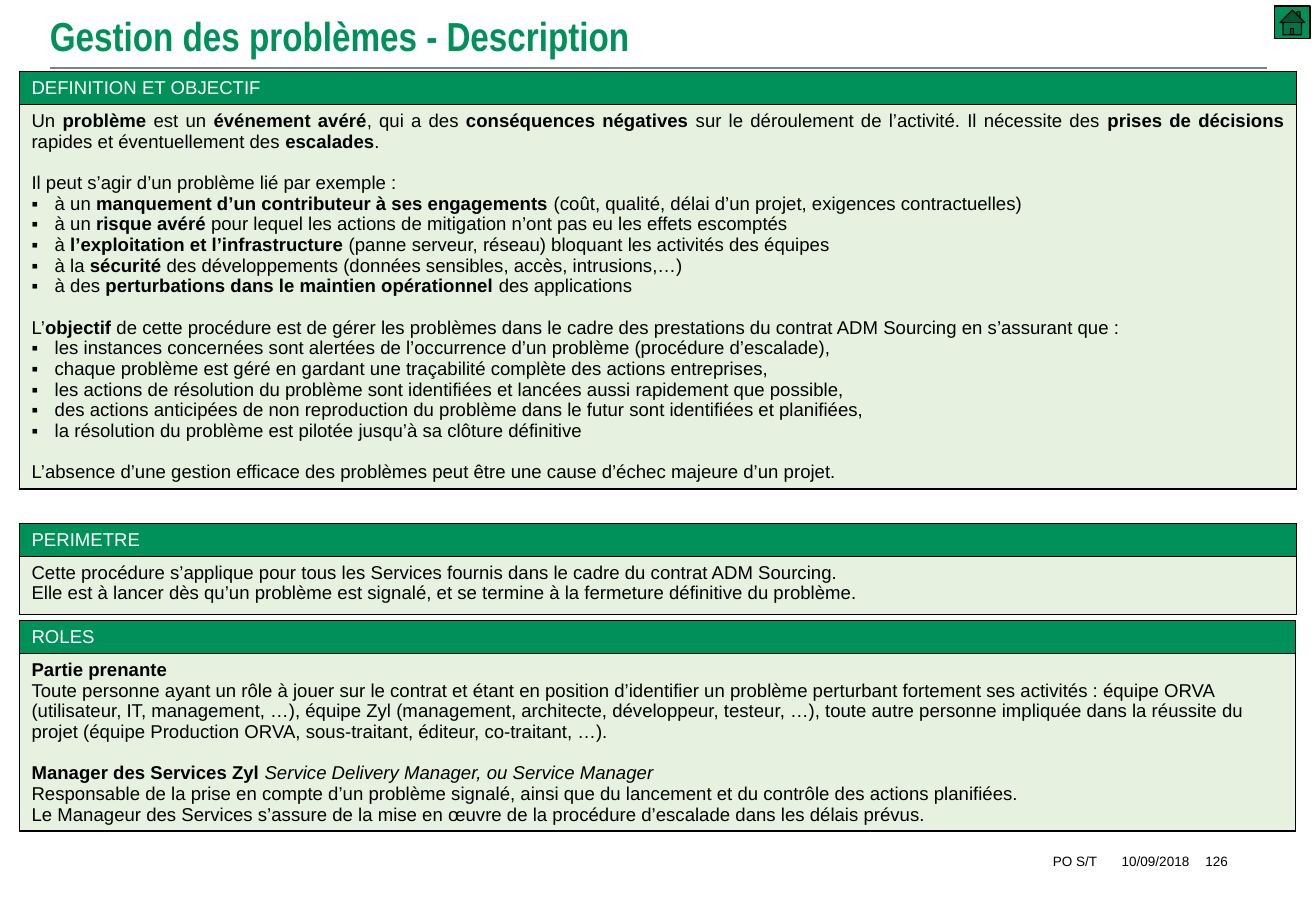
from pptx import Presentation
from pptx.dml.color import RGBColor
from pptx.enum.shapes import MSO_CONNECTOR, MSO_SHAPE
from pptx.enum.text import MSO_ANCHOR, PP_ALIGN
from pptx.oxml.ns import qn
from pptx.util import Inches, Pt
from lxml.etree import SubElement

GREEN, PALE, BLACK, WHITE, GREY = "00915A", "E7F1DF", "000000", "FFFFFF", "78848A"
LEFT, HEADER_HEIGHT, INDENT = 0.16, 0.27, 0.19
BODY_SIZE, GAP = 11, 12.3

TITLE = "Gestion des problèmes - Description"

# In the texts below, *…* is bold, _…_ is italic, a leading ▪ is a bullet
# and a leading ¶ leaves one line of space above.
SECTIONS = [
    ("DEFINITION ET OBJECTIF", 0.59, 10.51, 3.16, PP_ALIGN.JUSTIFY, [
        "Un *problème* est un *événement avéré*, qui a des *conséquences négatives* sur le déroulement de l’activité. Il nécessite des *prises de décisions* rapides et éventuellement des *escalades*.",
        "¶Il peut s’agir d’un problème lié par exemple :",
        "▪à un *manquement d’un contributeur à ses engagements* (coût, qualité, délai d’un projet, exigences contractuelles)",
        "▪à un *risque avéré* pour lequel les actions de mitigation n’ont pas eu les effets escomptés",
        "▪à *l’exploitation et l’infrastructure* (panne serveur, réseau) bloquant les activités des équipes",
        "▪à la *sécurité* des développements (données sensibles, accès, intrusions,…)",
        "▪à des *perturbations dans le maintien opérationnel* des applications",
        "¶L’*objectif* de cette procédure est de gérer les problèmes dans le cadre des prestations du contrat ADM Sourcing en s’assurant que :",
        "▪les instances concernées sont alertées de l’occurrence d’un problème (procédure d’escalade),",
        "▪chaque problème est géré en gardant une traçabilité complète des actions entreprises,",
        "▪les actions de résolution du problème sont identifiées et lancées aussi rapidement que possible,",
        "▪des actions anticipées de non reproduction du problème dans le futur sont identifiées et planifiées,",
        "▪la résolution du problème est pilotée jusqu’à sa clôture définitive",
        "¶L’absence d’une gestion efficace des problèmes peut être une cause d’échec majeure d’un projet.",
    ]),
    ("PERIMETRE", 4.31, 10.51, 0.48, PP_ALIGN.LEFT, [
        "Cette procédure s’applique pour tous les Services fournis dans le cadre du contrat ADM Sourcing.",
        "Elle est à lancer dès qu’un problème est signalé, et se termine à la fermeture définitive du problème.",
    ]),
    ("ROLES", 5.11, 10.5, 1.46, PP_ALIGN.LEFT, [
        "*Partie prenante*",
        "Toute personne ayant un rôle à jouer sur le contrat et étant en position d’identifier un problème perturbant fortement ses activités : équipe ORVA (utilisateur, IT, management, …), équipe Zyl (management, architecte, développeur, testeur, …), toute autre personne impliquée dans la réussite du projet (équipe Production ORVA, sous-traitant, éditeur, co-traitant, …).",
        "¶*Manager des Services Zyl* _Service Delivery Manager, ou Service Manager_",
        "Responsable de la prise en compte d’un problème signalé, ainsi que du lancement et du contrôle des actions planifiées.",
        "Le Manageur des Services s’assure de la mise en œuvre de la procédure d’escalade dans les délais prévus.",
    ]),
]

FOOTERS = [
    ("PO S/T", 6.64, 2.39, PP_ALIGN.RIGHT),
    ("10/09/2018", 9.09, 0.84, PP_ALIGN.CENTER),
    ("126", 9.92, 0.21, PP_ALIGN.LEFT),
]


def color(value):
    return RGBColor.from_string(value)


def write(para, text, size=BODY_SIZE, font="Arial", fill=BLACK, bold=False,
          align=PP_ALIGN.LEFT, bullet=False, before=0):
    para.alignment = align
    para.space_before = Pt(before)
    if bullet:
        props = para._p.get_or_add_pPr()
        props.set("marL", str(Inches(INDENT)))
        props.set("indent", str(-Inches(INDENT)))
        SubElement(props, qn("a:buFont"), typeface="Arial")
        SubElement(props, qn("a:buChar"), char="▪")
    for i, part in enumerate(text.split("*")):
        for j, piece in enumerate(part.split("_")):
            if piece:
                span = para.add_run()
                span.text = piece
                span.font.size, span.font.name = Pt(size), font
                span.font.bold = bold or i % 2 == 1
                span.font.italic = j % 2 == 1
                span.font.color.rgb = color(fill)


def plain_frame(box):
    frame = box.text_frame
    frame.word_wrap = True
    frame.vertical_anchor = MSO_ANCHOR.MIDDLE
    frame.margin_left = frame.margin_right = frame.margin_top = frame.margin_bottom = 0
    return frame


def paint_cell(cell, fill):
    props = cell._tc.get_or_add_tcPr()
    for side in ("lnL", "lnR", "lnT", "lnB"):
        border = SubElement(props, qn(f"a:{side}"), w=str(Pt(1)))
        SubElement(SubElement(border, qn("a:solidFill")), qn("a:srgbClr"), val=BLACK)
    cell.fill.solid()
    cell.fill.fore_color.rgb = color(fill)


def add_section(slide, heading, top, width, body_height, align, lines):
    frame = slide.shapes.add_table(2, 1, Inches(LEFT), Inches(top), Inches(width),
                                   Inches(HEADER_HEIGHT + body_height))
    table = frame.table
    for row, height in zip(table.rows, (HEADER_HEIGHT, body_height)):
        row.height = Inches(height)
    header, body = table.cell(0, 0), table.cell(1, 0)
    paint_cell(header, GREEN)
    paint_cell(body, PALE)
    write(header.text_frame.paragraphs[0], heading, fill=WHITE)
    for index, line in enumerate(lines):
        para = body.text_frame.add_paragraph() if index else body.text_frame.paragraphs[0]
        write(para, line.lstrip("▪¶"), align=align, bullet=line.startswith("▪"),
              before=GAP if line.startswith("¶") else 0)


def main():
    deck = Presentation()
    deck.slide_width, deck.slide_height = Inches(10.83), Inches(7.5)
    page = deck.slides.add_slide(deck.slide_layouts[5])

    rule = page.shapes.add_connector(MSO_CONNECTOR.STRAIGHT, Inches(0.41), Inches(0.56),
                                     Inches(10.43), Inches(0.56))
    rule.line.color.rgb, rule.line.width = color(GREY), Pt(1)
    SubElement(rule._element.spPr, qn("a:effectLst"))

    home = page.shapes.add_shape(MSO_SHAPE.ACTION_BUTTON_HOME, Inches(10.49), Inches(0.05),
                                 Inches(0.29), Inches(0.27))
    home.shadow.inherit = False
    home.fill.solid()
    home.fill.fore_color.rgb = color(GREEN)
    home.line.color.rgb, home.line.width = color(BLACK), Pt(0.75)

    title = page.shapes.title
    title.left, title.top = Inches(0.41), Inches(0)
    title.width, title.height = Inches(10.02), Inches(0.58)
    write(plain_frame(title).paragraphs[0], TITLE, size=24, font="Arial Narrow",
          fill=GREEN, bold=True)

    for section in SECTIONS:
        add_section(page, *section)

    for text, left, width, align in FOOTERS:
        box = page.shapes.add_textbox(Inches(left), Inches(6.99), Inches(width), Inches(0.2))
        write(plain_frame(box).paragraphs[0], text, size=8, align=align)

    deck.save("out.pptx")


if __name__ == "__main__":
    main()
